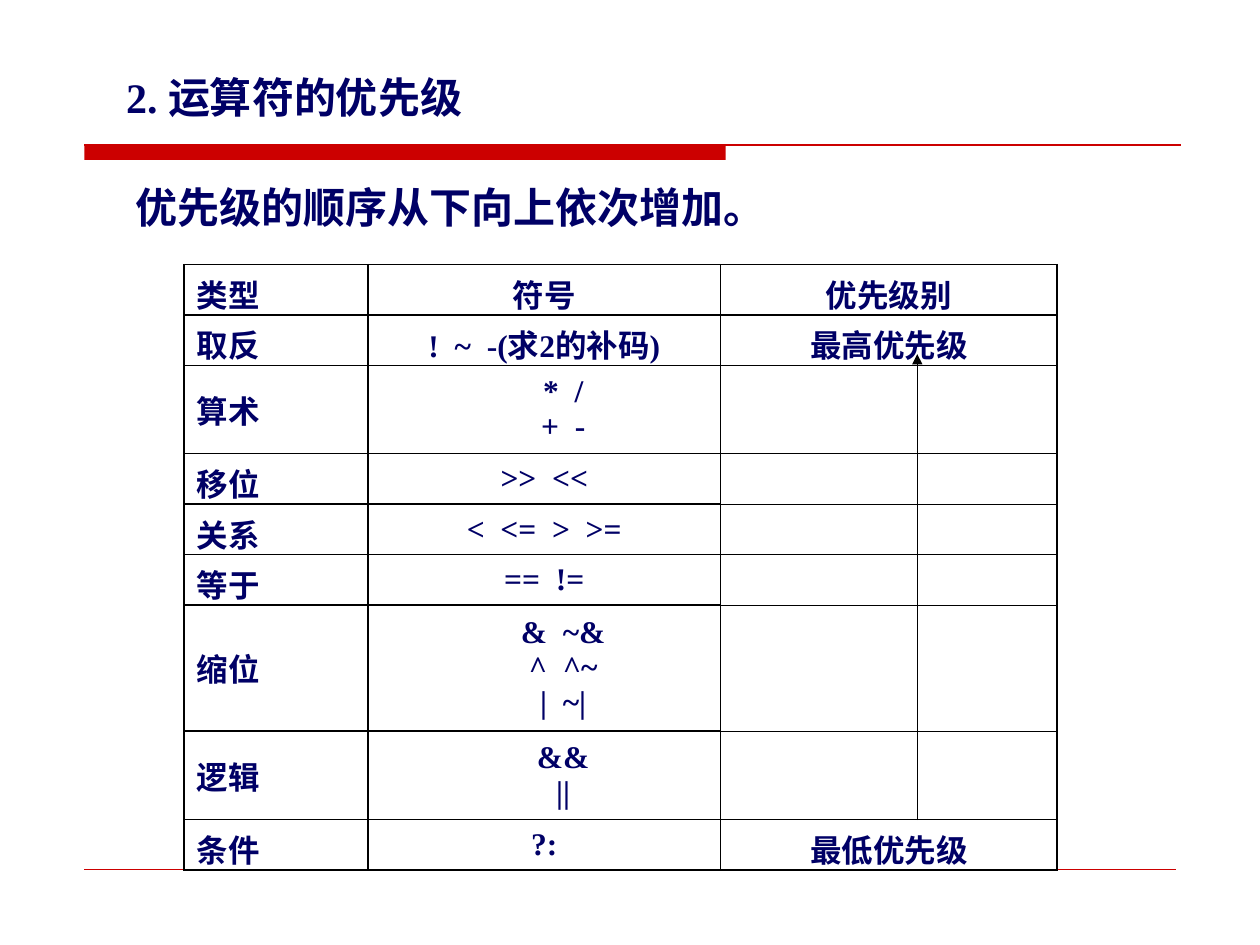
from typing import NamedTuple

from lxml import etree
from pptx import Presentation
from pptx import util as u
from pptx.dml.color import RGBColor
from pptx.enum import shapes, text
from pptx.oxml.ns import qn

NAVY, RED, BLACK = "000066", "CC0000", "000000"
FONT = "Times New Roman"
LEFT, CENTER = text.PP_ALIGN.LEFT, text.PP_ALIGN.CENTER
TOP, MIDDLE = text.MSO_ANCHOR.TOP, text.MSO_ANCHOR.MIDDLE
COLUMN_WIDTHS = (1.46, 2.8, 2.67)


class Operators(NamedTuple):
    category: str
    symbols: str
    priority: str = ""
    height: float = 0.4
    anchor: text.MSO_ANCHOR = MIDDLE


class Rule(NamedTuple):
    start: tuple[float, float]
    end: tuple[float, float]
    color: str
    width: float
    arrow: bool = False


OPERATOR_ROWS = (
    Operators("类型", "符号", "优先级别", anchor=TOP),
    Operators("取反", "!  ~  -(求2的补码)", "最高优先级", anchor=TOP),
    Operators("算术", "*  /\n+  -", height=0.7),
    Operators("移位", ">>  <<"),
    Operators("关系", "<  <=  >  >="),
    Operators("等于", "==  !="),
    Operators("缩位", "&  ~&\n^  ^~\n|  ~|", height=1),
    Operators("逻辑", "&&\n||", height=0.7),
    Operators("条件", "?:", "最低优先级"),
)


def rgb(color: str) -> RGBColor:
    return RGBColor.from_string(color)


def write(frame, content: str, size: float, align=LEFT) -> None:
    frame.text = content
    for paragraph in frame.paragraphs:
        paragraph.alignment = align
        if len(frame.paragraphs) > 1:
            paragraph._p.get_or_add_pPr().set("indent", str(u.Inches(0.3)))
        for run in paragraph.runs:
            run.font.name = FONT
            run.font.size = u.Pt(size)
            run.font.bold = True
            run.font.color.rgb = rgb(NAVY)


def write_heading(box, content: str, wrap: bool) -> None:
    frame = box.text_frame
    write(frame, content, 24)
    frame.word_wrap = wrap
    frame.auto_size = text.MSO_AUTO_SIZE.SHAPE_TO_FIT_TEXT
    frame.vertical_anchor = MIDDLE


def draw_rule(slide, rule: Rule) -> None:
    points = [u.Inches(value) for value in rule.start + rule.end]
    line = slide.shapes.add_connector(shapes.MSO_CONNECTOR.STRAIGHT, *points)
    line.line.color.rgb = rgb(rule.color)
    line.line.width = u.Pt(rule.width)
    if rule.arrow:
        outline = line.line._get_or_add_ln()
        etree.SubElement(outline, qn("a:tailEnd"), type="triangle")
    etree.SubElement(line._element.spPr, qn("a:effectLst"))


def set_borders(cell, widths: dict[str, float]) -> None:
    properties = cell._tc.get_or_add_tcPr()
    for side, width in widths.items():
        border = etree.SubElement(properties, qn(f"a:ln{side}"), w=str(u.Pt(width)))
        fill = etree.SubElement(border, qn("a:solidFill"))
        etree.SubElement(fill, qn("a:srgbClr"), val=BLACK)


def draw_operator_table(slide) -> None:
    table = slide.shapes.add_table(
        len(OPERATOR_ROWS), len(COLUMN_WIDTHS),
        u.Inches(1.46), u.Inches(2.1), u.Inches(6.93), u.Inches(4.8),
    ).table
    table.first_row = table.horz_banding = False
    for column, width in zip(table.columns, COLUMN_WIDTHS):
        column.width = u.Inches(width)

    last = len(OPERATOR_ROWS) - 1
    for r, operators in enumerate(OPERATOR_ROWS):
        table.rows[r].height = u.Inches(operators.height)
        for c, content in enumerate(operators[:3]):
            cell = table.cell(r, c)
            # Thin outer sides, and thin lines between the priority cells
            set_borders(cell, {
                "L": 0.75 if c == 0 else 1,
                "R": 0.75 if c == 2 else 1,
                "T": 0.75 if c == 2 and r > 1 else 1,
                "B": 0.75 if c == 2 and 0 < r < last else 1,
            })
            cell.fill.background()
            write(cell.text_frame, content, 18, LEFT if c == 0 else CENTER)
            symbol_in_middle = c == 1 and r > 0
            cell.vertical_anchor = (
                MIDDLE if symbol_in_middle else TOP if c == 2 else operators.anchor
            )


def main() -> None:
    deck = Presentation()
    deck.slide_width, deck.slide_height = u.Inches(10), u.Inches(7.5)
    slide = deck.slides.add_slide(deck.slide_layouts[5])

    # Red band and thin rules
    band = slide.shapes.add_shape(
        shapes.MSO_SHAPE.RECTANGLE,
        u.Inches(0.67), u.Inches(1.15), u.Inches(5.09), u.Inches(0.12),
    )
    band.shadow.inherit = False
    band.fill.solid()
    band.fill.fore_color.rgb = rgb(RED)
    band.line.fill.background()
    draw_rule(slide, Rule((0.67, 1.15), (9.37, 1.15), RED, 0.75))
    draw_rule(slide, Rule((0.67, 6.9), (9.33, 6.9), RED, 0.25))

    # Title and statement
    title = slide.shapes.title
    title.left, title.top = u.Inches(0.9), u.Inches(0.52)
    title.width, title.height = u.Inches(3.23), u.Inches(0.5)
    write_heading(title, "2. 运算符的优先级", wrap=False)
    statement = slide.shapes.add_textbox(
        u.Inches(0.98), u.Inches(1.39), u.Inches(7.52), u.Inches(0.5)
    )
    write_heading(statement, "优先级的顺序从下向上依次增加。", wrap=True)

    # Operators, with the arrow of rising priority
    draw_operator_table(slide)
    draw_rule(slide, Rule((7.28, 6.51), (7.28, 2.81), BLACK, 0.75, arrow=True))

    deck.save("out.pptx")


if __name__ == "__main__":
    main()
